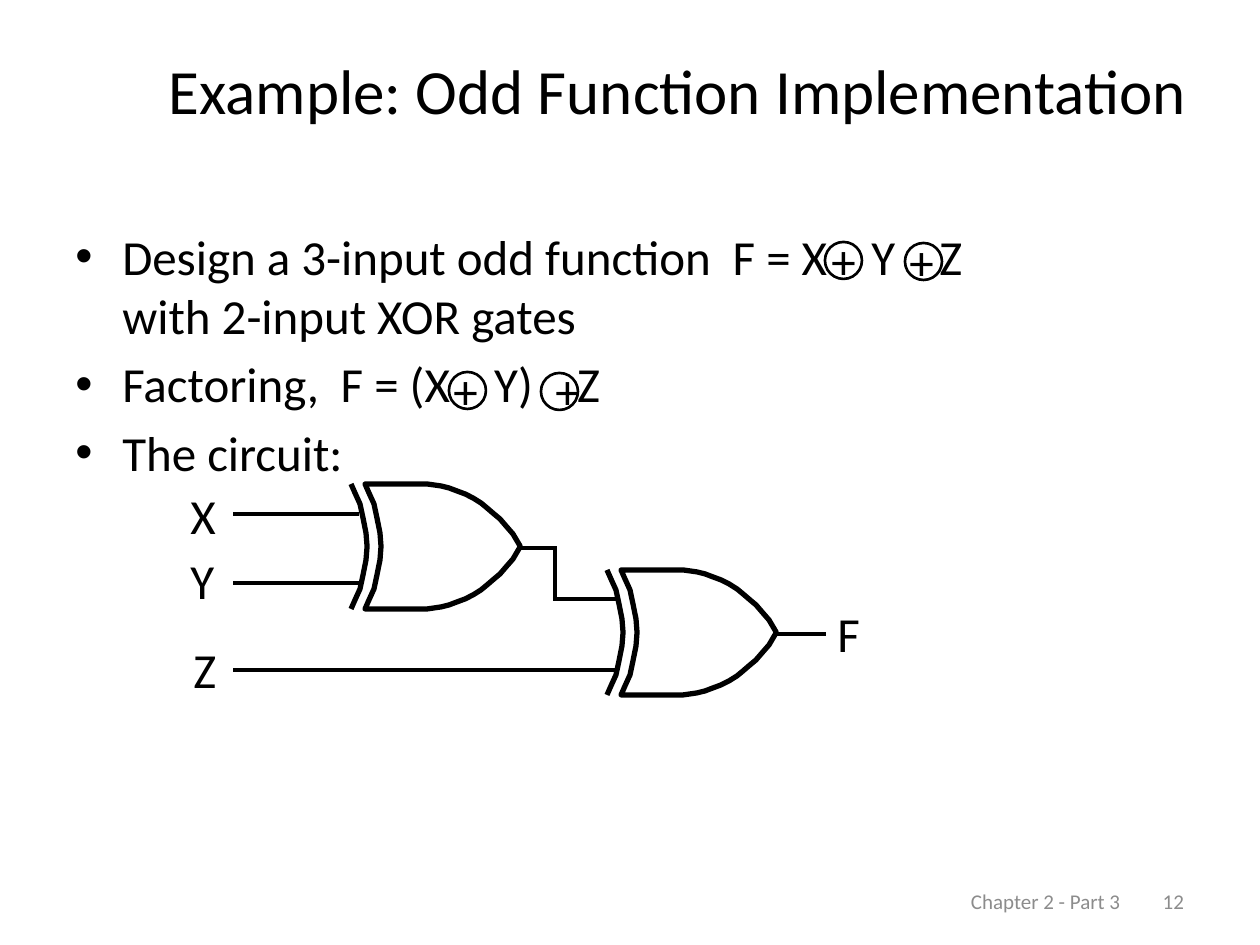
from lxml.etree import SubElement
from pptx import Presentation
from pptx.dml.color import RGBColor
from pptx.enum.shapes import MSO_CONNECTOR, MSO_SHAPE
from pptx.enum.text import MSO_ANCHOR, MSO_AUTO_SIZE, PP_ALIGN
from pptx.oxml.ns import qn
from pptx.util import Pt

BLACK = RGBColor(0x00, 0x00, 0x00)
GRAY = RGBColor(0x8C, 0x8C, 0x8C)


def px(length):
    """Convert pixels, 126 to the inch, to EMU."""
    return round(length * 914400 / 126)


def add_text(para, text, size=28, color=BLACK, spacing=0):
    """Append a run; spacing widens each of its characters, in points."""
    span = para.add_run()
    span.text = text
    span.font.name = "Calibri"
    span.font.size = Pt(size)
    span.font.color.rgb = color
    if spacing:
        span.font._element.set("spc", str(spacing * 100))


deck = Presentation()
deck.slide_width, deck.slide_height = px(1260), px(945)
page = deck.slides.add_slide(deck.slide_layouts[5])
shapes = page.shapes

# Title
title = shapes.title
title.left, title.top, title.width, title.height = px(95), px(31), px(1165), px(116)
title.text_frame.auto_size = MSO_AUTO_SIZE.NONE
title.text_frame.vertical_anchor = MSO_ANCHOR.MIDDLE
para = title.text_frame.paragraphs[0]
para.alignment = PP_ALIGN.CENTER
add_text(para, "Example: Odd Function Implementation", size=36)

# Bullets: each piece of text with the extra width of the space after it
bullets = [
    [("Design a 3-input odd function", 6), ("F = X", 19), ("Y", 19), ("Z", 0),
     ("\n", 0), ("with 2-input XOR gates", 0)],
    [("Factoring,", 6), ("F = (X", 19), ("Y)", 19), ("Z", 0)],
    [("The circuit:", 0)],
]
body = shapes.add_textbox(px(63), px(220), px(1134), px(624)).text_frame
body.word_wrap = True
for index, pieces in enumerate(bullets):
    para = body.add_paragraph() if index else body.paragraphs[0]
    props = para._p.get_or_add_pPr()
    props.set("marL", str(px(47)))
    props.set("indent", str(-px(47)))
    SubElement(props, qn("a:buFont")).set("typeface", "Arial")
    SubElement(props, qn("a:buChar")).set("char", "•")
    if index:
        para.space_before = Pt(5.6)
    for text, gap in pieces:
        if text == "\n":
            para.add_line_break()
            continue
        add_text(para, text)
        if gap:
            add_text(para, " ", spacing=gap)

# Footer, with the page number at a right tab
footer = shapes.add_textbox(px(903), px(876), px(294), px(50)).text_frame
footer.word_wrap = True
footer.margin_left = px(68)
footer.vertical_anchor = MSO_ANCHOR.MIDDLE
para = footer.paragraphs[0]
tabs = SubElement(para._p.get_or_add_pPr(), qn("a:tabLst"))
tab = SubElement(tabs, qn("a:tab"))
tab.set("pos", str(px(213)))
tab.set("algn", "r")
add_text(para, "Chapter 2 - Part 3\t12", size=12, color=GRAY)

# Circles of the XOR operators
outlines = []
for left, top in [(825, 242), (905, 243), (449, 372), (541, 373)]:
    circle = shapes.add_shape(MSO_SHAPE.OVAL, px(left), px(top), px(37), px(37))
    outlines.append((circle, 1.5))

# XOR gates: both outlines mirror their upper half
GATE_HEIGHT = 125
upper_arc = [(0, 0), (4, 9), (9, 20), (12, 34), (15, 49), (16, 62)]
upper_nose = [(62, 0), (76, 2), (84, 4), (92, 7), (100, 10), (108, 14), (116, 19),
              (122, 24), (129, 30), (135, 35), (141, 42), (148, 50), (155, 62)]
arc, nose = [half + [(x, GATE_HEIGHT - y) for x, y in reversed(half)]
             for half in (upper_arc, upper_nose)]
for left, top in [(621, 570), (365, 484)]:
    for points, shift, closed in [(arc + nose[::-1], 0, True), (arc, -14, False)]:
        path = [(left + shift + x, top + y) for x, y in points]
        builder = shapes.build_freeform(*path[0], scale=px(126) / 126)
        builder.add_line_segments(path[1:], close=closed)
        outlines.append((builder.convert_to_shape(), 3))

for shape, weight in outlines:
    shape.shadow.inherit = False
    shape.fill.background()
    shape.line.color.rgb = BLACK
    shape.line.width = Pt(weight)

# Wires
wires = [
    (615, 670, 233, 670), (518, 548, 557, 548), (555, 548, 555, 599),
    (553, 599, 617, 599), (359, 514, 233, 514), (359, 583, 233, 583),
    (775, 634, 826, 634),
]
for ends in wires:
    wire = shapes.add_connector(MSO_CONNECTOR.STRAIGHT, *map(px, ends))
    wire.line.color.rgb = BLACK
    wire.line.width = Pt(2.25)
    SubElement(wire._element.spPr, qn("a:effectLst"))

# Operator signs and signal names
labels = [
    ("+", 819, 224, 53), ("+", 897, 225, 53), ("+", 441, 354, 53), ("+", 543, 354, 53),
    ("X", 178, 479, 60), ("Y", 178, 544, 60), ("Z", 181, 633, 55), ("F", 825, 597, 53),
]
for text, left, top, width in labels:
    label = shapes.add_textbox(px(left), px(top), px(width), px(72)).text_frame
    label.word_wrap = False
    label.auto_size = MSO_AUTO_SIZE.SHAPE_TO_FIT_TEXT
    add_text(label.paragraphs[0], text)

deck.save("out.pptx")
